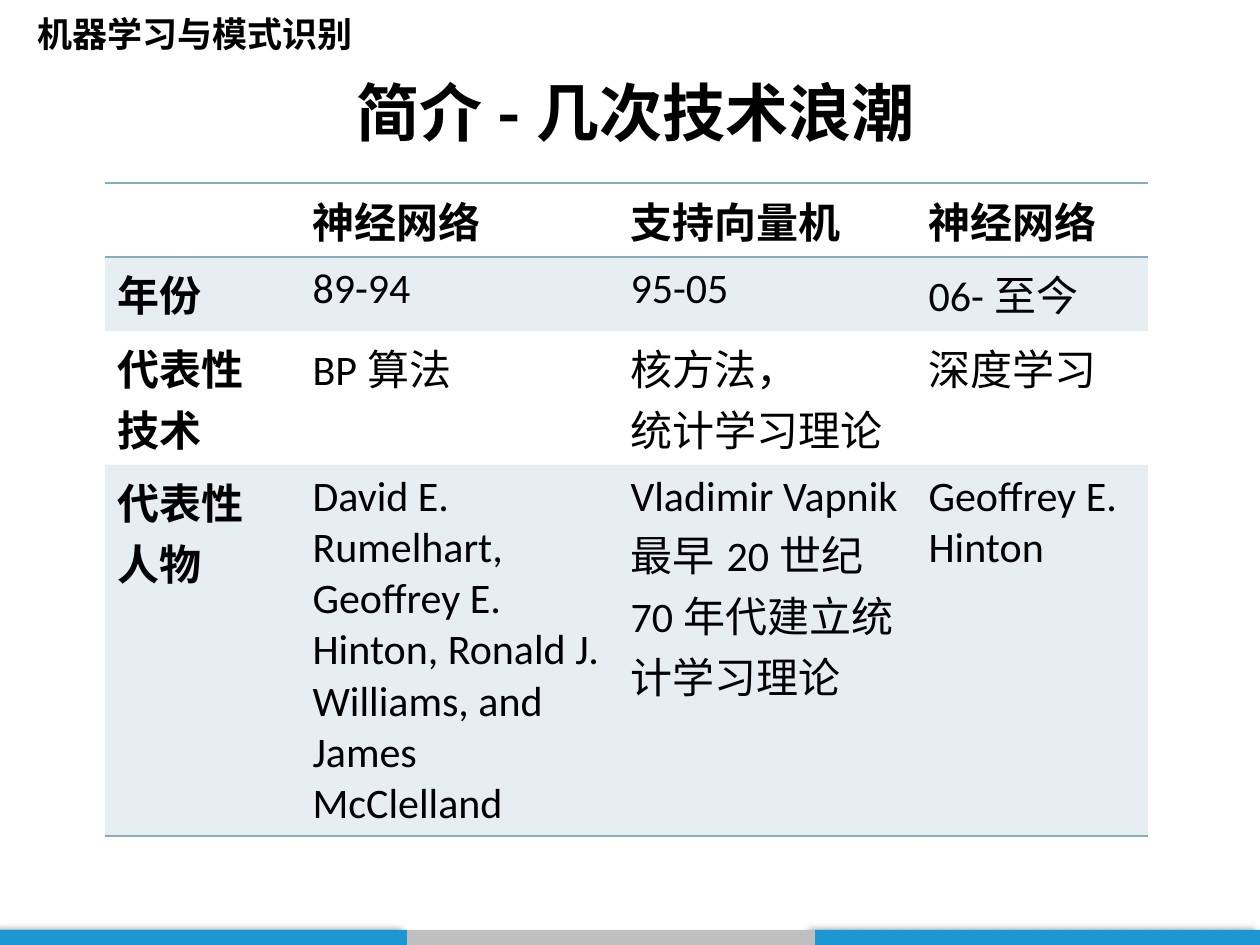
from lxml.etree import SubElement
from pptx import Presentation
from pptx.dml.color import RGBColor
from pptx.enum.shapes import MSO_SHAPE
from pptx.enum.text import MSO_ANCHOR, MSO_AUTO_SIZE, PP_ALIGN
from pptx.oxml.ns import qn
from pptx.util import Emu, Pt

EMU_PER_PX = 914400 / 126
NO_GRID_STYLE = "{2D5ABB26-0587-4C30-8999-92F81FD0307C}"
ACCENT = "85ADBC"
COLUMN_WIDTHS = [195, 318, 298, 232]
ROW_HEIGHTS = [74, 74, 134, 371]
ROWS = [
    ["", "神经网络", "支持向量机", "神经网络"],
    ["年份", "89-94", "95-05", "06-至今"],
    ["代表性\n技术", "BP算法", "核方法，\n统计学习理论", "深度学习"],
    [
        "代表性\n人物",
        "David E. Rumelhart, Geoffrey E. Hinton, Ronald J. Williams, and James McClelland",
        "Vladimir Vapnik 最早20世纪70年代建立统计学习理论",
        "Geoffrey E. Hinton",
    ],
]


def px(value):
    return Emu(round(value * EMU_PER_PX))


def color(hex_string):
    return RGBColor.from_string(hex_string)


def style_paragraph(para, size, bold, font="Calibri"):
    para.font.name = font
    para.font.size = Pt(size)
    para.font.bold = bold
    para.font.color.rgb = color("000000")


def add_bar(page, left, width, fill, shadowed):
    bar = page.shapes.add_shape(MSO_SHAPE.RECTANGLE, px(left), px(930), px(width), px(15))
    bar.fill.solid()
    bar.fill.fore_color.rgb = color(fill)
    bar.line.fill.background()
    bar.shadow.inherit = False
    if shadowed:
        effects = bar._element.spPr.find(qn("a:effectLst"))
        shadow = SubElement(
            effects, qn("a:outerShdw"), blurRad=str(Pt(4)), dist=str(Pt(3)),
            dir="10800000", rotWithShape="0",
        )
        shade = SubElement(shadow, qn("a:srgbClr"), val="000000")
        SubElement(shade, qn("a:alpha"), val="40000")


def add_text(page, left, top, width, height, text, size, font="Calibri"):
    box = page.shapes.add_textbox(px(left), px(top), px(width), px(height))
    box.text_frame.text = text
    style_paragraph(box.text_frame.paragraphs[0], size, True, font)
    return box.text_frame


def add_border(cell, side):
    line = SubElement(cell._tc.get_or_add_tcPr(), qn(f"a:{side}"), w=str(Pt(1)))
    fill = SubElement(line, qn("a:solidFill"))
    SubElement(fill, qn("a:srgbClr"), val=ACCENT)


def fill_cell(cell, banded):
    if not banded:
        cell.fill.background()
        return
    cell.fill.solid()
    cell.fill.fore_color.rgb = color(ACCENT)
    tint = cell._tc.tcPr.find(qn("a:solidFill")).find(qn("a:srgbClr"))
    SubElement(tint, qn("a:alpha"), val="20000")


def add_wave_table(page):
    frame = page.shapes.add_table(
        len(ROWS), len(COLUMN_WIDTHS), px(105), px(183),
        px(sum(COLUMN_WIDTHS)), px(sum(ROW_HEIGHTS)),
    )
    table = frame.table
    table.first_row = False
    table.horz_banding = False
    table._tbl.tblPr.find(qn("a:tableStyleId")).text = NO_GRID_STYLE
    for column, width in zip(table.columns, COLUMN_WIDTHS):
        column.width = px(width)
    for row, height in zip(table.rows, ROW_HEIGHTS):
        row.height = px(height)
    for row_index, texts in enumerate(ROWS):
        for column_index, text in enumerate(texts):
            cell = table.cell(row_index, column_index)
            cell.text = text
            for para in cell.text_frame.paragraphs:
                style_paragraph(para, 24, row_index == 0 or column_index == 0)
            if row_index == 0:
                add_border(cell, "lnT")
            if row_index in (0, len(ROWS) - 1):
                add_border(cell, "lnB")
            fill_cell(cell, row_index % 2 == 1)


def main():
    deck = Presentation()
    deck.slide_width, deck.slide_height = px(1260), px(945)
    page = deck.slides.add_slide(deck.slide_layouts[6])

    add_bar(page, 815, 445, "1B97D4", True)
    add_bar(page, 0, 407, "1B97D4", True)
    add_bar(page, 407, 408, "BFBFBF", False)

    course = add_text(page, 25, 6, 345, 55, "机器学习与模式识别", 20)
    course.word_wrap = False
    course.auto_size = MSO_AUTO_SIZE.SHAPE_TO_FIT_TEXT
    course.vertical_anchor = MSO_ANCHOR.MIDDLE

    title = add_text(page, 243, 76, 785, 108, "简介-几次技术浪潮", 36, "Noto Sans CJK SC")
    title.word_wrap = True
    title.paragraphs[0].alignment = PP_ALIGN.CENTER
    title.paragraphs[0].line_spacing = 0.9

    add_wave_table(page)
    deck.save("out.pptx")


if __name__ == "__main__":
    main()
